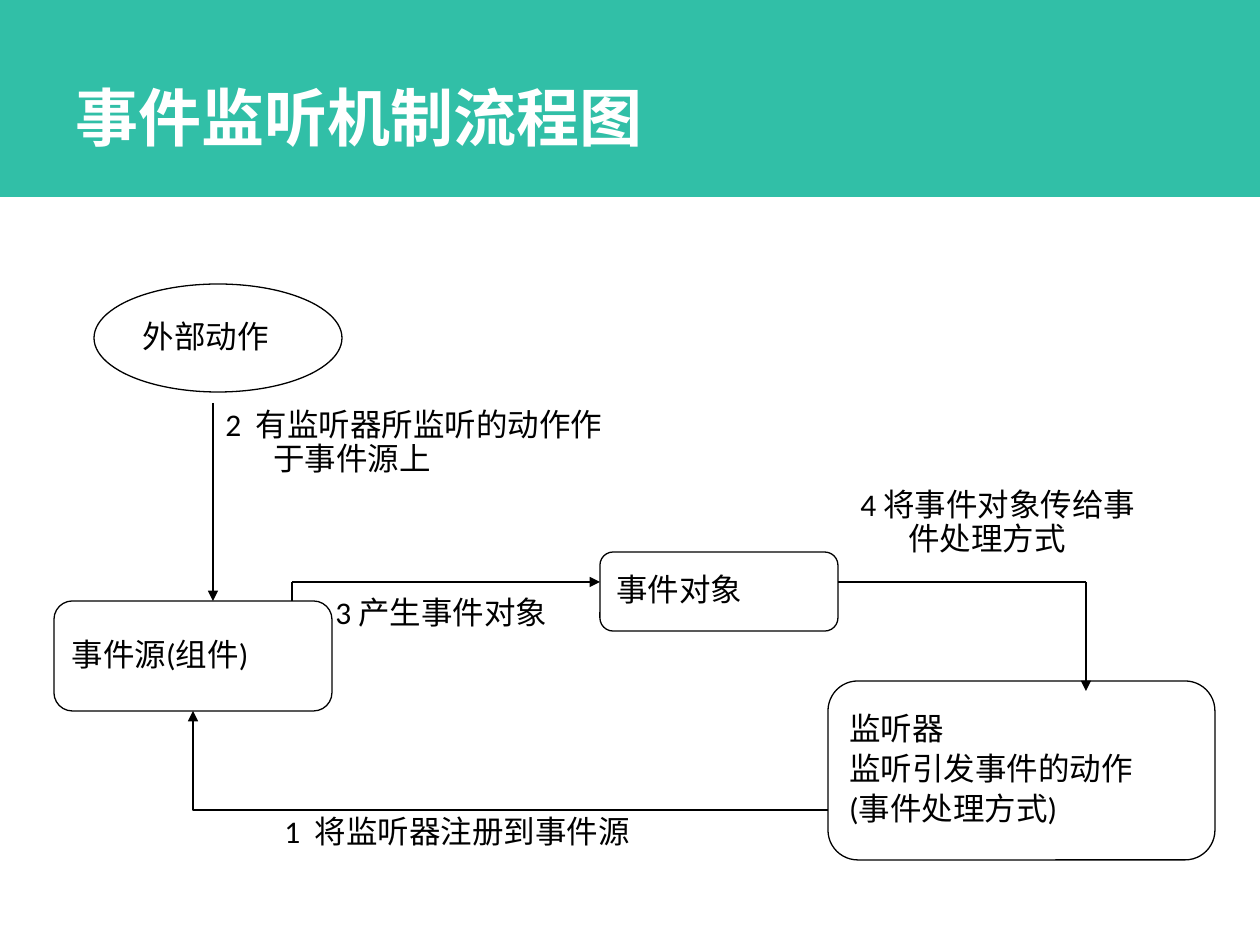
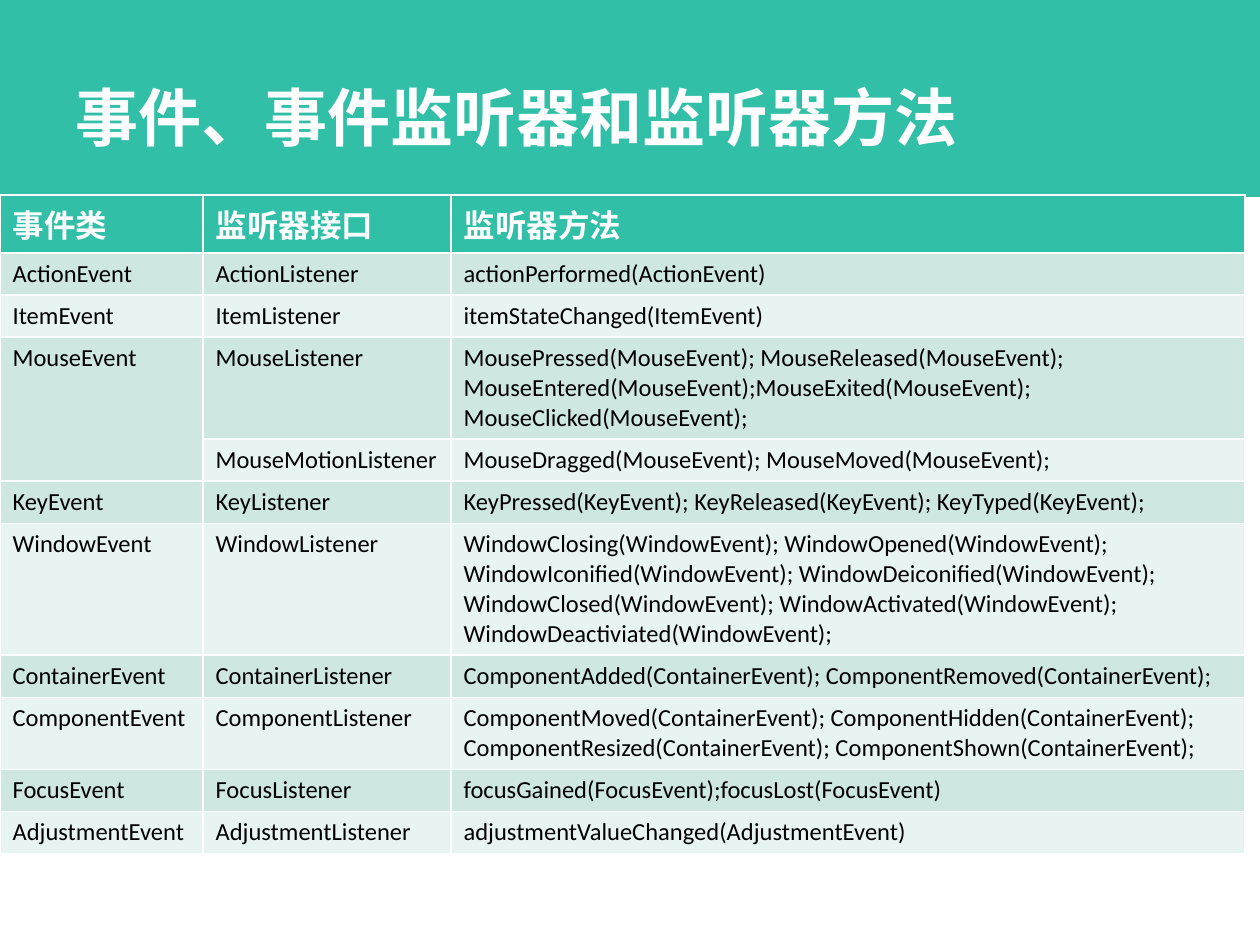
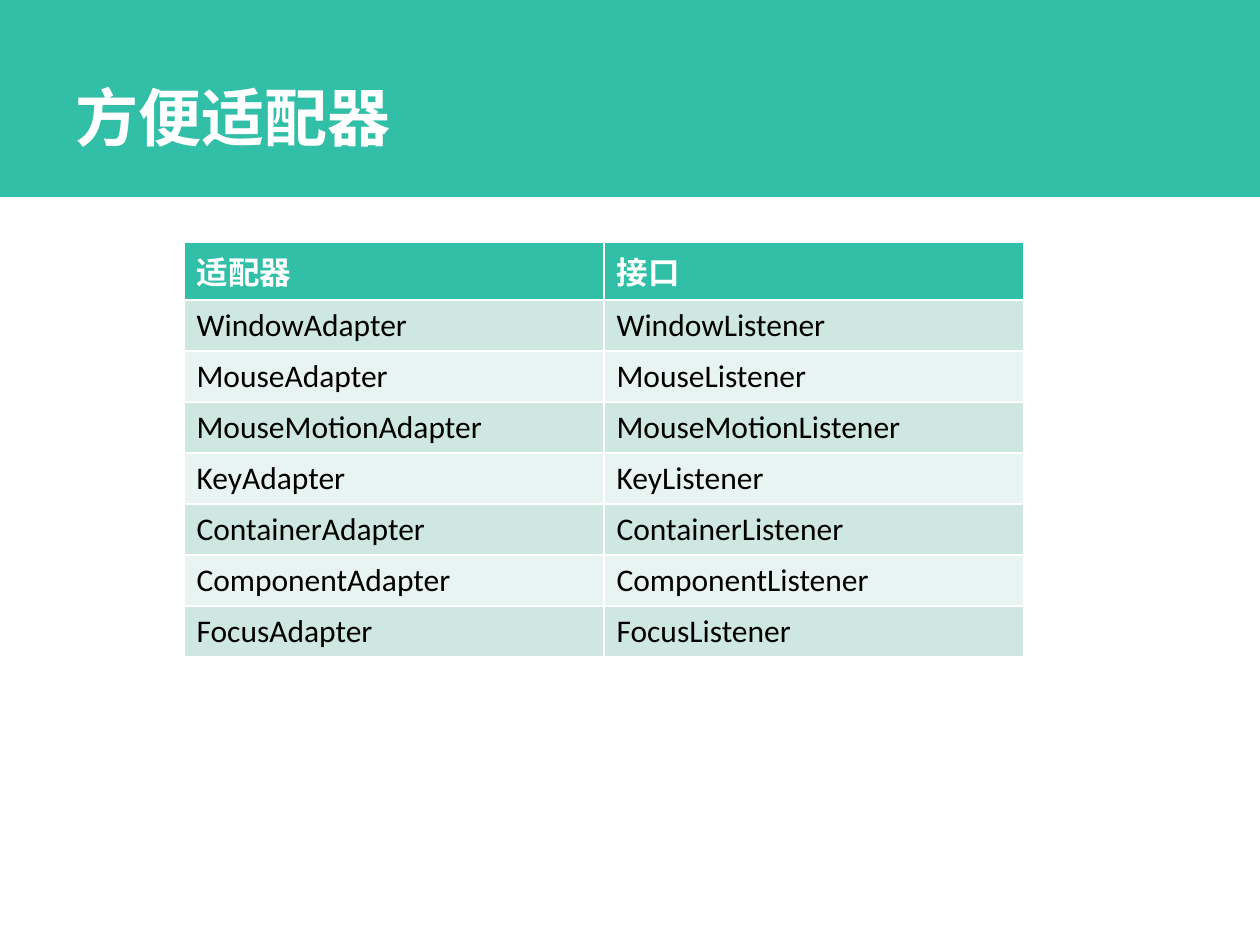
from lxml import etree
from pptx import Presentation
from pptx import util as u
from pptx.dml.color import RGBColor
from pptx.enum import shapes, text
from pptx.oxml.ns import qn

EMU_PER_PX = 914400 / 126
GREEN, BAND_DARK, BAND_LIGHT = "31BFA7", "CEE8E1", "E8F4F1"
BLACK, WHITE = "000000", "FFFFFF"
LATIN, CJK = "Calibri", "Noto Sans CJK SC"
HANGING = 48
rgb = RGBColor.from_string


def px(length):
    return u.Emu(round(length * EMU_PER_PX))


def write(frame, content, size=18, color=BLACK, bold=False, font=LATIN, hanging=False):
    """Fill a text frame, one paragraph per line of content."""
    for index, line in enumerate(content.split("\n")):
        paragraph = frame.paragraphs[0] if index == 0 else frame.add_paragraph()
        paragraph.alignment = text.PP_ALIGN.LEFT
        if hanging:
            paragraph.line_spacing = 0.9
            properties = paragraph._p.get_or_add_pPr()
            properties.set("marL", str(px(HANGING)))
            properties.set("indent", str(-px(HANGING)))
            if index:
                paragraph.space_before = u.Pt(3.6)
        run = paragraph.add_run()
        run.text = line
        for key, value in {"name": font, "size": u.Pt(size), "bold": bold}.items():
            setattr(run.font, key, value)
        run.font.color.rgb = rgb(color)
        latin = run.font._element.find(qn("a:latin"))
        east_asian = etree.Element(qn("a:ea"), typeface=CJK)
        latin.addnext(east_asian)


deck = Presentation()
deck.slide_width, deck.slide_height = px(1260), px(945)

# Shared band and title
titles = ["事件监听机制流程图", "事件、事件监听器和监听器方法", "方便适配器"]
for title in titles:
    slide = deck.slides.add_slide(deck.slide_layouts[6])
    band = slide.shapes.add_shape(shapes.MSO_SHAPE.RECTANGLE, 0, 0, px(1260), px(197))
    band.shadow.inherit = False
    band.fill.solid()
    band.fill.fore_color.rgb = rgb(GREEN)
    band.line.fill.background()
    heading = slide.shapes.add_textbox(*map(px, (63, 38, 1134, 157))).text_frame
    heading.word_wrap = True
    heading.vertical_anchor = text.MSO_ANCHOR.MIDDLE
    write(heading, title, 36, WHITE, True, CJK)

flow, listeners, adapters = deck.slides

# Flow: participants
ROUND, OVAL = shapes.MSO_SHAPE.ROUNDED_RECTANGLE, shapes.MSO_SHAPE.OVAL
participants = [
    (OVAL, (94, 284, 248, 108), "外部动作"),
    (ROUND, (54, 601, 278, 110), "事件源(组件)"),
    (ROUND, (600, 552, 238, 79), "事件对象"),
    (ROUND, (828, 681, 387, 179), "监听器\n监听引发事件的动作\n(事件处理方式)"),
]
for outline, place, label in participants:
    participant = flow.shapes.add_shape(outline, *map(px, place))
    participant.shadow.inherit = False
    participant.fill.background()
    participant.line.color.rgb = rgb(BLACK)
    participant.line.width = u.Pt(0.75)
    participant.text_frame.word_wrap = False
    write(participant.text_frame, label, hanging=True)

# Flow: numbered steps
steps = [
    ((272, 810, 427, 50), "1  将监听器注册到事件源"),
    ((213, 403, 417, 88), "2  有监听器所监听的动作作于事件源上"),
    ((323, 591, 277, 50), "3 产生事件对象"),
    ((848, 483, 318, 88), "4 将事件对象传给事件处理方式"),
]
for place, step in steps:
    frame = flow.shapes.add_textbox(*map(px, place)).text_frame
    frame.word_wrap = True
    frame.auto_size = text.MSO_AUTO_SIZE.SHAPE_TO_FIT_TEXT
    write(frame, step, hanging=True)

# Flow: arrows; the elbow is a quarter-turned two-segment connector
STRAIGHT, ELBOW = shapes.MSO_CONNECTOR.STRAIGHT, shapes.MSO_CONNECTOR.ELBOW
arrows = [
    (STRAIGHT, (213, 403, 213, 601), "tailEnd"),
    (STRAIGHT, (292, 601, 292, 582), None),
    (STRAIGHT, (292, 582, 600, 582), "tailEnd"),
    (STRAIGHT, (838, 582, 1086, 582), None),
    (STRAIGHT, (1086, 582, 1086, 691), "tailEnd"),
    (ELBOW, (560, 443, 461, 1078), "headEnd"),
]
for route, ends, arrowhead in arrows:
    arrow = flow.shapes.add_connector(route, *map(px, ends))
    arrow.line.color.rgb = rgb(BLACK)
    arrow.line.width = u.Pt(0.75)
    properties = arrow._element.spPr
    if arrowhead:
        etree.SubElement(arrow.line._get_or_add_ln(), qn("a:" + arrowhead), type="triangle")
    etree.SubElement(properties, qn("a:effectLst"))
    if route == ELBOW:
        properties.find(qn("a:xfrm")).set("rot", str(270 * 60000))
        properties.find(qn("a:prstGeom")).set("prst", "bentConnector2")

# Table contents
listener_rows = [
    ("事件类", "监听器接口", "监听器方法"),
    ("ActionEvent", "ActionListener", "actionPerformed(ActionEvent)"),
    ("ItemEvent", "ItemListener", "itemStateChanged(ItemEvent)"),
    ("MouseEvent", "MouseListener",
     "MousePressed(MouseEvent); MouseReleased(MouseEvent);\n"
     "MouseEntered(MouseEvent);MouseExited(MouseEvent);\n"
     "MouseClicked(MouseEvent);"),
    ("", "MouseMotionListener", "MouseDragged(MouseEvent); MouseMoved(MouseEvent);"),
    ("KeyEvent", "KeyListener",
     "KeyPressed(KeyEvent); KeyReleased(KeyEvent); KeyTyped(KeyEvent);"),
    ("WindowEvent", "WindowListener",
     "WindowClosing(WindowEvent); WindowOpened(WindowEvent);\n"
     "WindowIconified(WindowEvent); WindowDeiconified(WindowEvent);\n"
     "WindowClosed(WindowEvent); WindowActivated(WindowEvent);\n"
     "WindowDeactiviated(WindowEvent);"),
    ("ContainerEvent", "ContainerListener",
     "ComponentAdded(ContainerEvent); ComponentRemoved(ContainerEvent);"),
    ("ComponentEvent", "ComponentListener",
     "ComponentMoved(ContainerEvent); ComponentHidden(ContainerEvent);\n"
     "ComponentResized(ContainerEvent); ComponentShown(ContainerEvent);"),
    ("FocusEvent", "FocusListener", "focusGained(FocusEvent);focusLost(FocusEvent)"),
    ("AdjustmentEvent", "AdjustmentListener", "adjustmentValueChanged(AdjustmentEvent)"),
]
adapted = ["Window", "Mouse", "MouseMotion", "Key", "Container", "Component", "Focus"]
adapter_rows = [("适配器", "接口")] + [(name + "Adapter", name + "Listener") for name in adapted]

# Tables: the default style supplies the white rules
HEADER_HEIGHT = 58
tables = [
    (listeners, listener_rows, (0, 195), (203, 248, 794), 14, 30),
    (adapters, adapter_rows, (184, 242), (420, 420), 18, 39),
]
for slide, rows, (left, top), widths, size, line_height in tables:
    heights = [HEADER_HEIGHT] + [12 + line_height * (row[-1].count("\n") + 1) for row in rows[1:]]
    table = slide.shapes.add_table(
        len(rows), len(widths), *map(px, (left, top, sum(widths), sum(heights)))).table
    for column, width in zip(table.columns, widths):
        column.width = px(width)
    for r, (row, height) in enumerate(zip(rows, heights)):
        table.rows[r].height = px(height)
        for c, content in enumerate(row):
            cell = table.cell(r, c)
            cell.fill.solid()
            cell.fill.fore_color.rgb = rgb(GREEN if r == 0 else BAND_DARK if r % 2 else BAND_LIGHT)
            if r == 0:
                write(cell.text_frame, content, 18, WHITE, True)
            elif content:
                write(cell.text_frame, content, size)
            else:
                table.cell(r - 1, c).merge(cell)

deck.save("out.pptx")
